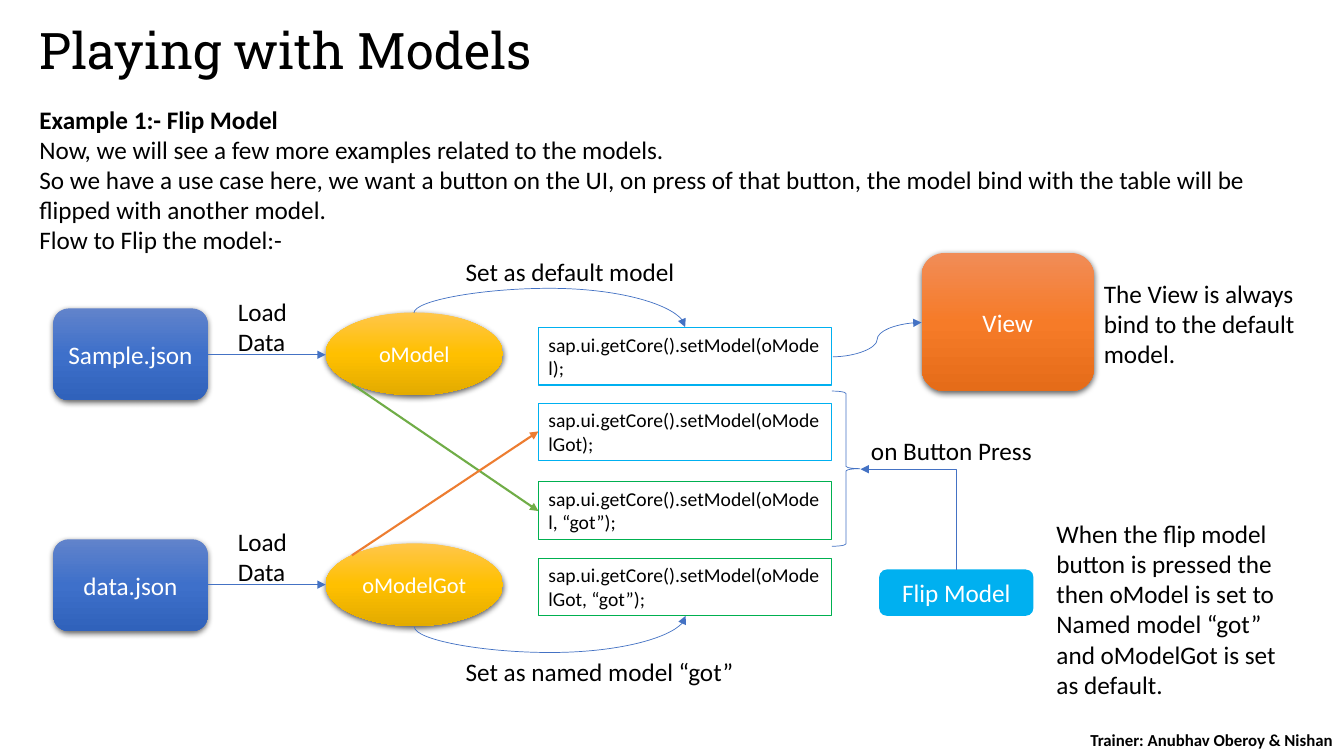
import pptx
import pptx.util
import pptx.oxml
import pptx.oxml.ns
import pptx.dml.color
import pptx.enum.shapes
import pptx.enum.text

Inches, Pt = pptx.util.Inches, pptx.util.Pt
rgb = pptx.dml.color.RGBColor.from_string
qn = pptx.oxml.ns.qn
SHAPE = pptx.enum.shapes.MSO_SHAPE
LINK = pptx.enum.shapes.MSO_CONNECTOR
ALIGN = pptx.enum.text.PP_ALIGN
ANCHOR = pptx.enum.text.MSO_ANCHOR
SPACE = 'xmlns:a="http://schemas.openxmlformats.org/drawingml/2006/main"'
BLUE, SKY, GREEN = "4472C4", "00B0F0", "00B050"


def write(frame, text, size=18, hue="000000", bold=False, align=ALIGN.LEFT,
          anchor=ANCHOR.TOP, font="Calibri"):
    """Fill the frame's last paragraph with one run."""
    frame.word_wrap = True
    frame.auto_size = pptx.enum.text.MSO_AUTO_SIZE.NONE
    frame.vertical_anchor = anchor
    para = frame.paragraphs[-1]
    para.alignment = align
    para.space_before = Pt(0)
    run = para.add_run()
    run.text = text
    run.font.name, run.font.size, run.font.bold = font, Pt(size), bold
    run.font.color.rgb = rgb(hue)
    return para


def style(link, hue=BLUE, width=0.5):
    """Give a connector its colour, width and arrowhead, without shadow."""
    link.line.color.rgb = rgb(hue)
    link.line.width = Pt(width)
    link.line._get_or_add_ln().append(
        pptx.oxml.parse_xml(f'<a:tailEnd {SPACE} type="triangle"/>'))
    link._element.spPr.append(pptx.oxml.parse_xml(f"<a:effectLst {SPACE}/>"))


deck = pptx.Presentation()
deck.slide_width, deck.slide_height = Inches(13.33), Inches(7.5)
slide = deck.slides.add_slide(deck.slide_layouts[1])
shapes = slide.shapes

# Title and introduction
title, body = shapes.title, slide.placeholders[1]
for holder, top, height in ((title, 0.21, 0.78), (body, 0.98, 1.62)):
    holder.left, holder.top = Inches(0.29), Inches(top)
    holder.width, holder.height = Inches(12.16), Inches(height)
para = write(title.text_frame, "Playing with Models", 36, font="Roboto Slab")
para.line_spacing = 0.9

intro = [
    "Example 1:- Flip Model",
    "Now, we will see a few more examples related to the models.",
    "So we have a use case here, we want a button on the UI, on press of that "
    "button, the model bind with the table will be flipped with another model.",
    "Flow to Flip the model:-",
]
for i, text in enumerate(intro):
    if i:
        body.text_frame.add_paragraph()
    para = write(body.text_frame, text, bold=i == 0, align=ALIGN.JUSTIFY)
    props = para._p.get_or_add_pPr()
    props.set("marL", "0")
    props.set("indent", "0")
    props.append(pptx.oxml.parse_xml(f"<a:buNone {SPACE}/>"))

# Files, models and view
navy = ("6183CB", "3E70CA", "3062BB")
gold = ("FFC64B", "FFC000", "E3AB00")
rust = ("F18C57", "F67B28", "E56C19")
nodes = [
    (SHAPE.ROUNDED_RECTANGLE, 0.53, 3.06, 1.53, 0.91, navy, "Sample.json", 18),
    (SHAPE.ROUNDED_RECTANGLE, 0.53, 5.35, 1.53, 0.91, navy, "data.json", 18),
    (SHAPE.OVAL, 3.23, 3.1, 1.76, 0.82, gold, "oModel", 16),
    (SHAPE.OVAL, 3.23, 5.39, 1.76, 0.82, gold, "oModelGot", 16),
    (SHAPE.ROUNDED_RECTANGLE, 9.14, 2.51, 1.71, 1.37, rust, "View", 18),
    (SHAPE.ROUNDED_RECTANGLE, 8.72, 5.65, 1.53, 0.46, (SKY,), "Flip Model", 18),
]
for kind, *place, hues, text, size in nodes:
    node = shapes.add_shape(kind, *map(Inches, place))
    node.line.fill.background()
    node.shadow.inherit = False
    if len(hues) == 1:
        node.fill.solid()
        node.fill.fore_color.rgb = rgb(hues[0])
    else:
        node.fill.gradient()
        node.fill.gradient_angle = 270
        props = node._element.spPr
        stops = props.find(".//" + qn("a:gsLst"))
        stops[:] = [
            pptx.oxml.parse_xml(f'<a:gs {SPACE} pos="{i * 50000}">'
                                f'<a:srgbClr val="{hue}"/></a:gs>')
            for i, hue in enumerate(hues)]
        props.find(qn("a:effectLst")).append(pptx.oxml.parse_xml(
            f'<a:outerShdw {SPACE} blurRad="{Pt(4.5)}" dist="{Pt(1.5)}" '
            'dir="5400000" algn="ctr" rotWithShape="0"><a:srgbClr val="000000">'
            '<a:alpha val="63000"/></a:srgbClr></a:outerShdw>'))
    write(node.text_frame, text, size, "FFFFFF", align=ALIGN.CENTER,
          anchor=ANCHOR.MIDDLE)

# Calls that set the models
calls = [
    (3.25, SKY, "sap.ui.getCore().setModel(oModel);"),
    (4, SKY, "sap.ui.getCore().setModel(oModelGot);"),
    (4.78, GREEN, "sap.ui.getCore().setModel(oModel, “got”);"),
    (5.54, GREEN, "sap.ui.getCore().setModel(oModelGot, “got”);"),
]
for top, hue, text in calls:
    box = shapes.add_shape(SHAPE.RECTANGLE, Inches(5.34), Inches(top),
                           Inches(2.91), Inches(0.57))
    box.fill.background()
    box.line.color.rgb = rgb(hue)
    box.line.width = Pt(0.75)
    box.shadow.inherit = False
    write(box.text_frame, text, 14)

brace = shapes.add_shape(SHAPE.RIGHT_BRACE, Inches(8.25), Inches(3.88),
                         Inches(0.28), Inches(1.54))
brace.fill.background()
brace.line.color.rgb = rgb(BLUE)
brace.line.width = Pt(0.5)
brace.shadow.inherit = False

# Straight arrows: start, end, colour, width
for *ends, hue, width in [
    (2.06, 3.52, 3.23, 3.52, BLUE, 0.5),
    (2.06, 5.8, 3.23, 5.8, BLUE, 0.5),
    (3.49, 3.81, 5.34, 5.07, "70AD47", 1.5),
    (3.49, 5.51, 5.34, 4.28, "ED7D31", 1.5),
]:
    style(shapes.add_connector(LINK.STRAIGHT, *map(Inches, ends)), hue, width)

# Turned arrows: unrotated frame, rotation, flips, preset, bend in percent
for left, top, width, height, turn, flips, preset, bend in [
    (5.38, 1.83, 0.14, 2.69, 270, "H", "curvedConnector3", -174.7),
    (5.4, 4.82, 0.11, 2.69, 90, "HV", "curvedConnector3", -231.4),
    (8.26, 3.2, 0.88, 0.34, 0, "V", "curvedConnector3", 50),
    (8.51, 4.68, 1, 0.95, 270, "V", "bentConnector2", None),
]:
    link = shapes.add_connector(LINK.CURVE, Inches(left), Inches(top),
                                Inches(left + width), Inches(top + height))
    props = link._element.spPr
    frame, shape = props.find(qn("a:xfrm")), props.find(qn("a:prstGeom"))
    frame.set("rot", str(turn * 60000))
    for flip in flips:
        frame.set("flip" + flip, "1")
    shape.set("prst", preset)
    if bend is not None:
        shape.find(qn("a:avLst")).append(pptx.oxml.parse_xml(
            f'<a:gd {SPACE} name="adj1" fmla="val {round(bend * 1000)}"/>'))
    style(link)

# Labels and notes
for *place, text in [
    (2.26, 2.89, 0.98, 0.71, "Load Data"),
    (2.26, 5.17, 0.98, 0.71, "Load Data"),
    (4.52, 2.49, 2.55, 0.4, "Set as default model"),
    (4.52, 6.46, 3.4, 0.4, "Set as named model “got”"),
    (8.54, 4.27, 1.89, 0.4, "on Button Press"),
    (10.85, 2.71, 2.09, 1.01, "The View is always bind to the default model."),
    (10.38, 5.09, 2.48, 1.92,
     "When the flip model button is pressed the then oModel is set to "
     "Named model “got” and oModelGot is set as default."),
]:
    write(shapes.add_textbox(*map(Inches, place)).text_frame, text)

credit = shapes.add_textbox(Inches(10.46), Inches(7.18), Inches(2.86), Inches(0.31))
write(credit.text_frame, "Trainer: Anubhav Oberoy & Nishan", 12, bold=True,
      align=ALIGN.RIGHT, anchor=ANCHOR.MIDDLE)

deck.save("out.pptx")
